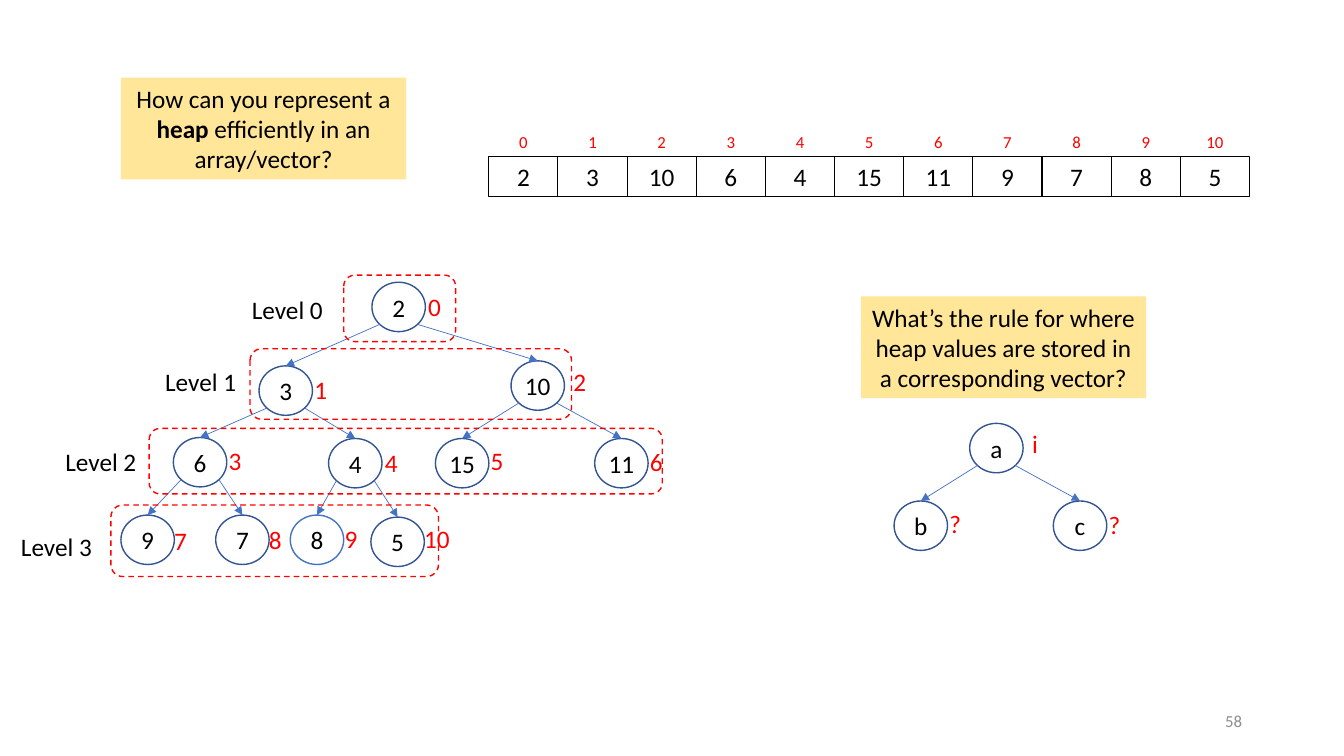
"""Builds a slide on storing a heap in an array, measured in a grid of tenths of an inch."""

from dataclasses import dataclass
from math import sqrt

from lxml import etree
from pptx import Presentation
from pptx.dml.color import RGBColor
from pptx.enum.dml import MSO_LINE
from pptx.enum.shapes import MSO_CONNECTOR, MSO_SHAPE
from pptx.enum.text import MSO_ANCHOR, PP_ALIGN
from pptx.oxml.ns import qn
from pptx.shapes.autoshape import Shape
from pptx.slide import Slide
from pptx.util import Emu, Inches, Pt

BLACK = RGBColor(0x00, 0x00, 0x00)
RED = RGBColor(0xFF, 0x00, 0x00)
GRAY = RGBColor(0x8C, 0x8C, 0x8C)
YELLOW = RGBColor(0xFF, 0xE6, 0x99)
NAVY = RGBColor(0x32, 0x54, 0x91)
BLUE = RGBColor(0x44, 0x72, 0xC4)

RECTANGLE, ROUNDED, OVAL = MSO_SHAPE.RECTANGLE, MSO_SHAPE.ROUNDED_RECTANGLE, MSO_SHAPE.OVAL
STRAIGHT = MSO_CONNECTOR.STRAIGHT
LEFT, CENTER, RIGHT = PP_ALIGN.LEFT, PP_ALIGN.CENTER, PP_ALIGN.RIGHT
MIDDLE = MSO_ANCHOR.MIDDLE
DASH = MSO_LINE.DASH

FONT = "Calibri"
UNIT = Inches(0.1)
COLUMNS, ROWS = 133.33, 75
NODE_WIDTH, NODE_HEIGHT = 5.3, 4.9
TEXT_HEIGHT = 4
DIGIT_WIDTH = 1.3
CELL_LEFT, CELL_TOP, CELL_WIDTH = 48.5, 15.5, 6.86
INDEX_TOP, INDEX_HEIGHT = 12.6, 3
NO_MARGINS = dict.fromkeys(("margin_left", "margin_right", "margin_top", "margin_bottom"), 0)


@dataclass(frozen=True)
class Area:
    """A rectangle in grid units."""

    left: float
    top: float
    width: float
    height: float

    def lengths(self) -> list[Emu]:
        """Return the rectangle as slide lengths."""
        return [Emu(round(share * UNIT)) for share in (self.left, self.top, self.width, self.height)]


@dataclass(frozen=True)
class Node:
    """A tree node with its value and the red label beside it."""

    value: str
    left: float
    top: float
    label: str
    label_left: float
    label_top: float
    outline: RGBColor = NAVY


@dataclass(frozen=True)
class Level:
    """A tree level with its dashed frame and the place of its name."""

    frame: Area
    name_left: float
    name_top: float


@dataclass(frozen=True)
class Callout:
    """A yellow question with pairs of wording and boldness."""

    area: Area
    pieces: tuple[tuple[str, bool], ...]


HEAP = (
    Node("2", 36.9, 28, "0", 41.5, 28.4),
    Node("3", 25.7, 36.3, "1", 30.2, 36.6),
    Node("10", 50.7, 35.8, "2", 55.9, 35.8),
    Node("6", 17.2, 43.4, "3", 21.7, 43.7),
    Node("4", 32.6, 43.5, "4", 37.2, 43.9),
    Node("15", 43.2, 43.5, "5", 47.7, 43.7),
    Node("11", 59, 43.5, "6", 63.5, 43.8),
    Node("9", 12, 51.1, "7", 16.3, 51.6),
    Node("7", 21.4, 51.1, "8", 25.7, 51.5),
    Node("8", 28.8, 51.1, "9", 33.2, 51.4, BLUE),
    Node("5", 36.8, 51.3, "10", 41.1, 51.4),
)
RULE_TREE = (
    Node("a", 96.2, 42, "i", 101.4, 42),
    Node("b", 88.7, 49.7, "?", 93.2, 49.9),
    Node("c", 104.5, 49.7, "?", 109, 50),
)
LEVELS = (
    Level(Area(34.1, 27.3, 11.1, 6.6), 24, 28.7),
    Level(Area(24.8, 34.6, 31.9, 7), 15.4, 35.8),
    Level(Area(14.8, 42.5, 50.9, 6.5), 5.5, 43.8),
    Level(Area(11, 50.1, 32.5, 7.1), 1.1, 52.2),
)
CALLOUTS = (
    Callout(
        Area(12, 7.7, 28.3, 10.1),
        (("How can you represent a ", False), ("heap", True), (" efficiently in an array/vector?", False)),
    ),
    Callout(
        Area(85.4, 29.4, 28.3, 10.1),
        (("What’s the rule for where heap values are stored in a corresponding vector?", False),),
    ),
)


def apply(target: object, formats: dict) -> None:
    """Set each named attribute of the target."""
    for name, value in formats.items():
        setattr(target, name, value)


def write(box: Shape, pieces: tuple[tuple[str, bool], ...], color: RGBColor = BLACK,
          size: int = 18, align: int = CENTER, **frame_formats: object) -> None:
    """Write one formatted paragraph into a box."""
    apply(box.text_frame, {"word_wrap": True, "vertical_anchor": MIDDLE} | frame_formats)
    para = box.text_frame.paragraphs[0]
    para.alignment = align
    for wording, bold in pieces:
        span = para.add_run()
        span.text = wording
        apply(span.font, {"name": FONT, "size": Pt(size), "bold": bold})
        span.font.color.rgb = color


def add_text(page: Slide, area: Area, wording: str, **formats: object) -> None:
    """Add a text box with one wording."""
    write(page.shapes.add_textbox(*area.lengths()), ((wording, False),), **formats)


def add_outline(page: Slide, kind: int, area: Area, color: RGBColor, **line_formats: object) -> Shape:
    """Add an unfilled shape with a coloured outline."""
    box = page.shapes.add_shape(kind, *area.lengths())
    box.shadow.inherit = False
    box.fill.background()
    box.line.color.rgb = color
    apply(box.line, {"width": Pt(1)} | line_formats)
    return box


def add_callout(page: Slide, callout: Callout) -> None:
    """Add a yellow question box."""
    box = page.shapes.add_shape(RECTANGLE, *callout.area.lengths())
    box.shadow.inherit = False
    box.fill.solid()
    box.fill.fore_color.rgb = YELLOW
    box.line.fill.background()
    write(box, callout.pieces)


def add_cell(page: Slide, index: int, value: str) -> None:
    """Add an array cell with its index above."""
    left = CELL_LEFT + index * CELL_WIDTH
    cell = add_outline(page, RECTANGLE, Area(left, CELL_TOP, CELL_WIDTH, TEXT_HEIGHT), BLACK, width=Pt(0.75))
    write(cell, ((value, False),))
    add_text(page, Area(left, INDEX_TOP, CELL_WIDTH, INDEX_HEIGHT), str(index), color=RED, size=12)


def add_edge(page: Slide, parent: Node, child: Node, side: int) -> None:
    """Draw an arrow from a lower side of the parent to the top of the child."""
    reach = 1 / sqrt(8)
    start_x = parent.left + NODE_WIDTH * (0.5 + side * reach)
    start_y = parent.top + NODE_HEIGHT * (0.5 + reach)
    ends = Area(start_x, start_y, child.left + NODE_WIDTH / 2, child.top)
    arrow = page.shapes.add_connector(STRAIGHT, *ends.lengths())
    arrow.line.color.rgb = BLUE
    arrow.line.width = Pt(0.5)
    properties = arrow._element.spPr
    etree.SubElement(properties.find(qn("a:ln")), qn("a:tailEnd"), type="triangle")
    etree.SubElement(properties, qn("a:effectLst"))


def add_tree(page: Slide, nodes: tuple[Node, ...]) -> None:
    """Draw nodes in heap order, each joined to its parent."""
    for index, node in enumerate(nodes):
        area = Area(node.left, node.top, NODE_WIDTH, NODE_HEIGHT)
        circle = add_outline(page, OVAL, area, node.outline)
        write(circle, ((node.value, False),), **NO_MARGINS | {"word_wrap": False})
        label_width = 2 + DIGIT_WIDTH * len(node.label)
        label_area = Area(node.label_left, node.label_top, label_width, TEXT_HEIGHT)
        add_text(page, label_area, node.label, color=RED, align=LEFT)
        if index:
            add_edge(page, nodes[(index - 1) // 2], node, -1 if index % 2 else 1)


def main() -> None:
    """Build and save the deck."""
    deck = Presentation()
    deck.slide_width, deck.slide_height = Emu(round(COLUMNS * UNIT)), Emu(ROWS * UNIT)
    page = deck.slides.add_slide(deck.slide_layouts.get_by_name("Blank"))
    for callout in CALLOUTS:
        add_callout(page, callout)
    for index, node in enumerate(HEAP):
        add_cell(page, index, node.value)
    for tree in (HEAP, RULE_TREE):
        add_tree(page, tree)
    for number, level in enumerate(LEVELS):
        add_outline(page, ROUNDED, level.frame, RED, dash_style=DASH)
        name_area = Area(level.name_left, level.name_top, 9.2, TEXT_HEIGHT)
        add_text(page, name_area, f"Level {number}", align=LEFT, word_wrap=False)
    add_text(page, Area(94.2, 69.5, 30, TEXT_HEIGHT), "58", color=GRAY, size=12, align=RIGHT)
    deck.save("out.pptx")


if __name__ == "__main__":
    main()
